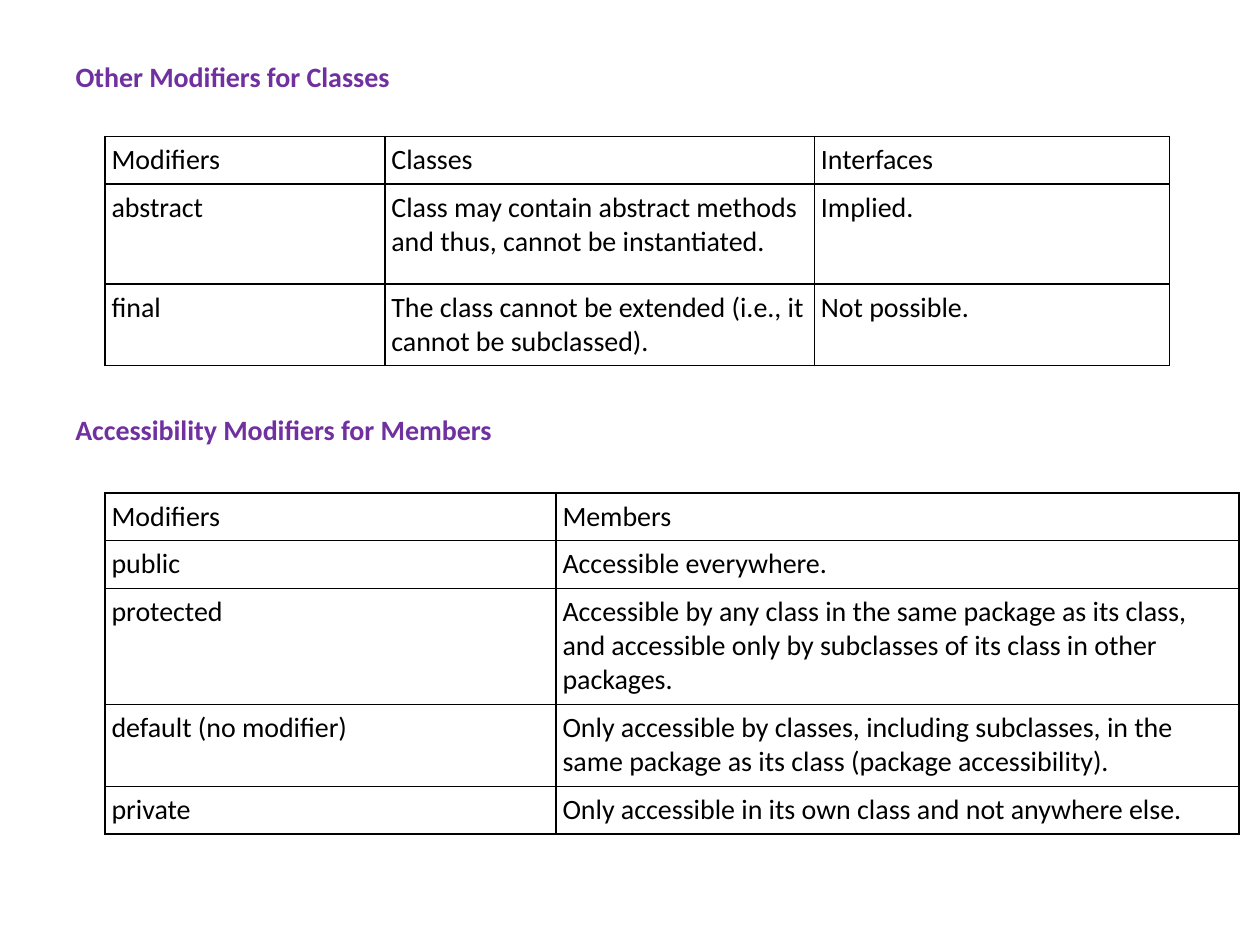
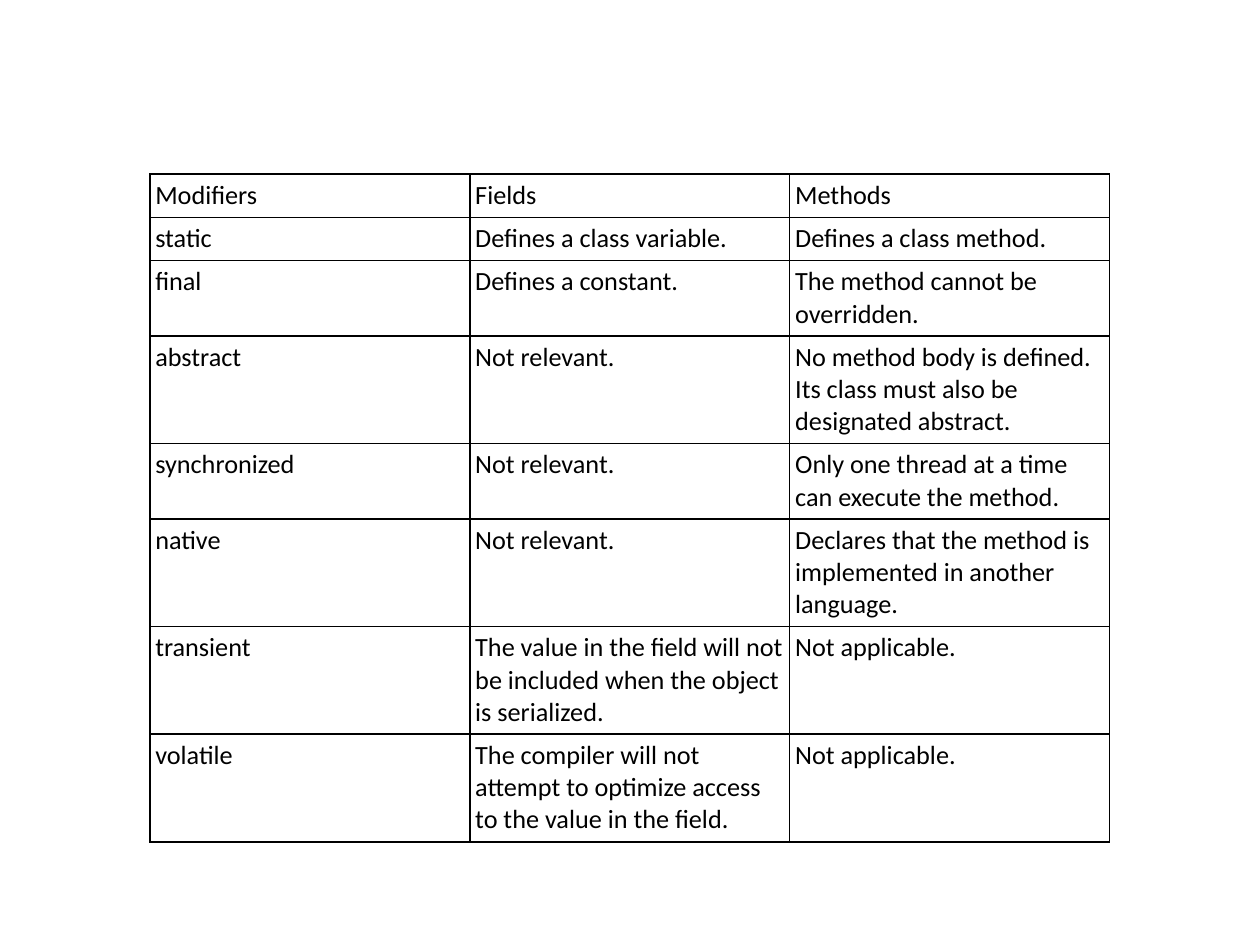
from dataclasses import dataclass

from lxml.etree import SubElement
from pptx import Presentation
from pptx.dml.color import RGBColor
from pptx.enum.text import MSO_ANCHOR, MSO_AUTO_SIZE, PP_ALIGN
from pptx.oxml.ns import qn
from pptx.util import Cm, Pt


@dataclass(frozen=True)
class Theme:
    font: str = "Calibri"
    head: str = "7030A0"
    ink: str = "000000"
    large: int = 16
    small: int = 15
    border: int = 1


theme = Theme()


def style(frame, size, color, bold=False):
    for para in frame.paragraphs:
        para.alignment = PP_ALIGN.LEFT
        look = {"name": theme.font, "size": Pt(size), "bold": bold}
        for key, value in look.items():
            setattr(para.font, key, value)
        para.font.color.rgb = RGBColor.from_string(color)


def grid(slide, left, top, widths, heights, rows, size, inset):
    frame = slide.shapes.add_table(
        len(rows), len(widths), Cm(left), Cm(top), Cm(sum(widths)), Cm(sum(heights))
    )
    table = frame.table
    table.first_row = False
    table.horz_banding = False
    for column, width in zip(table.columns, widths):
        column.width = Cm(width)
    for row, height, texts in zip(table.rows, heights, rows):
        row.height = Cm(height)
        for cell, text in zip(row.cells, texts):
            cell.text = text
            style(cell.text_frame, size, theme.ink)
            for side in ("left", "right", "top", "bottom"):
                setattr(cell, f"margin_{side}", Cm(inset))
            props = cell._tc.get_or_add_tcPr()
            for edge in ("a:lnL", "a:lnR", "a:lnT", "a:lnB"):
                line = SubElement(props, qn(edge), w=str(Pt(theme.border)))
                fill = SubElement(line, qn("a:solidFill"))
                SubElement(fill, qn("a:srgbClr"), val=theme.ink)
            cell.fill.background()


deck = Presentation()
deck.slide_width = Cm(25.4)
deck.slide_height = Cm(19.05)

slide = deck.slides.add_slide(deck.slide_layouts[5])
title = slide.shapes.title
label = slide.shapes.add_textbox(Cm(1.27), Cm(8.2), Cm(22.86), Cm(0.94))
heads = [
    (title, 1.07, "Other Modifiers for Classes"),
    (label, 8.2, "Accessibility Modifiers for Members"),
]
for shape, top, text in heads:
    place = {"left": 1.27, "top": top, "width": 22.86, "height": 0.94}
    for key, value in place.items():
        setattr(shape, key, Cm(value))
    frame = shape.text_frame
    frame.text = text
    setup = {
        "word_wrap": True,
        "auto_size": MSO_AUTO_SIZE.NONE,
        "vertical_anchor": MSO_ANCHOR.TOP,
    }
    for key, value in setup.items():
        setattr(frame, key, value)
    style(frame, theme.large, theme.head, True)

classes = [
    ("Modifiers", "Classes", "Interfaces"),
    (
        "abstract",
        "Class may contain abstract methods and thus, cannot be instantiated.",
        "Implied.",
    ),
    (
        "final",
        "The class cannot be extended (i.e., it cannot be subclassed).",
        "Not possible.",
    ),
]
grid(
    slide, 2.12, 2.75, [5.64, 8.66, 7.16], [0.96, 2.02, 1.64],
    classes, theme.large, 0.13,
)

members = [
    ("Modifiers", "Members"),
    ("public", "Accessible everywhere."),
    (
        "protected",
        "Accessible by any class in the same package as its class, and accessible "
        "only by subclasses of its class in other packages.",
    ),
    (
        "default (no modifier)",
        "Only accessible by classes, including subclasses, in the same package "
        "as its class (package accessibility).",
    ),
    ("private", "Only accessible in its own class and not anywhere else."),
]
tall = [0.27 + 0.69 * lines for lines in (1, 1, 3, 2, 1)]
grid(slide, 2.12, 9.94, [9.09, 13.77], tall, members, theme.large, 0.13)

slide = deck.slides.add_slide(deck.slide_layouts[6])
fields = [
    ("Modifiers", "Fields", "Methods"),
    ("static", "Defines a class variable.", "Defines a class method."),
    ("final", "Defines a constant.", "The method cannot be overridden."),
    (
        "abstract",
        "Not relevant.",
        "No method body is defined. Its class must also be designated abstract.",
    ),
    (
        "synchronized",
        "Not relevant.",
        "Only one thread at a time can execute the method.",
    ),
    (
        "native",
        "Not relevant.",
        "Declares that the method is implemented in another language.",
    ),
    (
        "transient",
        "The value in the field will not be included when the object is serialized.",
        "Not applicable.",
    ),
    (
        "volatile",
        "The compiler will not attempt to optimize access to the value in the field.",
        "Not applicable.",
    ),
]
tall = [0.22 + 0.65 * lines for lines in (1, 1, 2, 3, 2, 3, 3, 3)]
grid(slide, 3.02, 3.51, [6.45] * 3, tall, fields, theme.small, 0.11)

deck.save("out.pptx")
